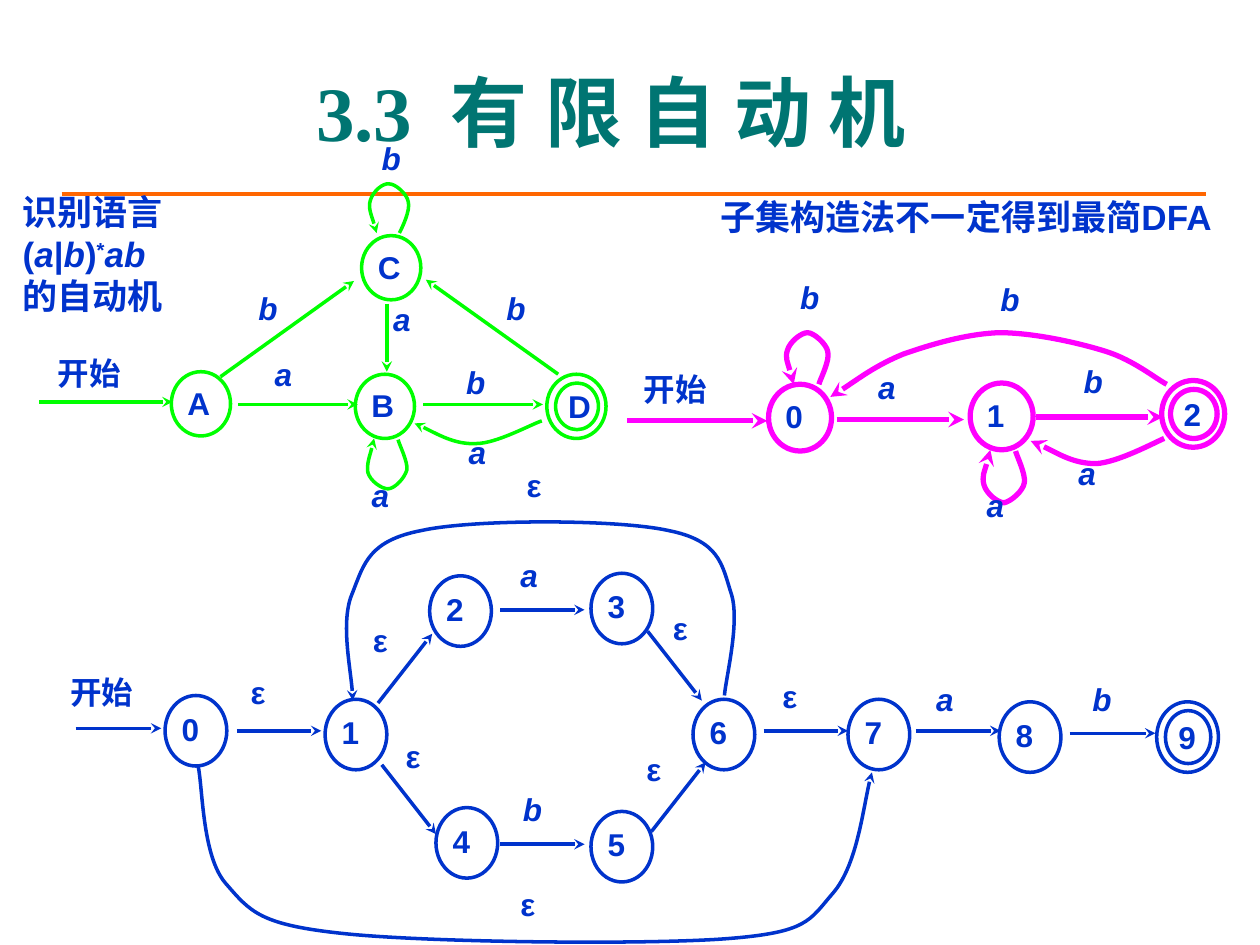
from dataclasses import dataclass, field
from itertools import chain
from typing import NamedTuple

from lxml import etree
from pptx import Presentation, util as u
from pptx.dml.color import RGBColor
from pptx.enum import shapes as es, text as et
from pptx.oxml.ns import qn

INK, TEAL, ORANGE, GREEN, PINK = "0033CC", "007572", "FF6600", "00FF00", "FF00FF"
CJK = "Noto Sans CJK SC"
LABEL_INSETS = (0.06, 0.03, 0.06, 0.03)
STATE_INSETS = (0.06, 0.03, 0.02, 0.05)
FINAL_INSETS = (0.05, 0, 0.01, 0)
TOP, MIDDLE = et.MSO_ANCHOR.TOP, et.MSO_ANCHOR.MIDDLE


class Mark(NamedTuple):
    """A state name or an edge label with its top left corner."""
    wording: str
    x: float
    y: float


@dataclass
class Automaton:
    colour: str
    weight: float
    state_size: tuple[float, float]
    anchor: et.MSO_ANCHOR
    states: list[Mark]
    final: Mark
    arrows: list[tuple[float, float, float, float]]
    curves: list[list[tuple[float, float]]]  # start, then Bezier triples
    labels: list[Mark] = field(default_factory=list)


def length(inches: float) -> u.Length:
    return u.Cm(inches * 2.54)


def rgb(colour: str) -> RGBColor:
    return RGBColor.from_string(colour)


def assign(target, values: dict) -> None:
    for name, value in values.items():
        setattr(target, name, value)


def set_frame(frame, insets, anchor) -> None:
    margins = zip(("margin_left", "margin_top", "margin_right", "margin_bottom"),
                  map(length, insets))
    assign(frame, dict(margins) | {"vertical_anchor": anchor, "word_wrap": True})


def add_run(paragraph, wording: str, size: float, colour: str = INK,
            font: str = "Arial", italic: bool = False):
    run = paragraph.add_run()
    run.text = wording
    assign(run.font, {"name": font, "size": u.Pt(size), "bold": True, "italic": italic})
    run.font.color.rgb = rgb(colour)
    etree.SubElement(run.font._element, qn("a:ea")).set("typeface", CJK)
    return run


def add_text(slide, x, y, w, h, anchor=TOP):
    frame = slide.shapes.add_textbox(*map(length, (x, y, w, h))).text_frame
    set_frame(frame, LABEL_INSETS, anchor)
    return frame


def set_line(shape, colour: str, weight: float, arrow: bool = False) -> None:
    shape.line.color.rgb = rgb(colour)
    shape.line.width = u.Pt(weight)
    if arrow:
        etree.SubElement(shape.line._get_or_add_ln(), qn("a:tailEnd")).set("type", "stealth")


def add_line(slide, ends, colour, weight, arrow=True) -> None:
    line = slide.shapes.add_connector(es.MSO_CONNECTOR.STRAIGHT, *map(length, ends))
    set_line(line, colour, weight, arrow)
    etree.SubElement(line._element.spPr, qn("a:effectLst"))


def add_curve(slide, points, colour, weight) -> None:
    start, *rest = [(length(x), length(y)) for x, y in points]
    builder = slide.shapes.build_freeform(*start)
    builder.add_line_segments(rest, close=False)
    curve = builder.convert_to_shape()
    # Turn each three segments into one Bezier segment
    outline = curve._element.xpath(".//a:path")[0]
    segments = outline.findall(qn("a:lnTo"))
    for first in range(0, len(segments), 3):
        bezier = etree.SubElement(outline, qn("a:cubicBezTo"))
        for segment in segments[first:first + 3]:
            bezier.append(segment[0])
            outline.remove(segment)
    curve.fill.background()
    curve.shadow.inherit = False
    set_line(curve, colour, weight, arrow=True)


def add_ring(slide, x, y, w, h, colour, weight):
    ring = slide.shapes.add_shape(es.MSO_SHAPE.OVAL, *map(length, (x, y, w, h)))
    ring.fill.background()
    ring.shadow.inherit = False
    set_line(ring, colour, weight)
    return ring


def name_state(ring, name: str, insets, anchor) -> None:
    set_frame(ring.text_frame, insets, anchor)
    paragraph = ring.text_frame.paragraphs[0]
    paragraph.alignment = et.PP_ALIGN.LEFT
    add_run(paragraph, name, 18)


def draw(slide, machine: Automaton) -> None:
    pen = machine.colour, machine.weight
    w, h = machine.state_size
    for name, x, y in machine.states:
        name_state(add_ring(slide, x, y, w, h, *pen), name, STATE_INSETS, machine.anchor)
    # Accepting state: two rings
    name, x, y = machine.final
    add_ring(slide, x, y, w, h, *pen)
    inner = add_ring(slide, x + 0.07, y + 0.07, w - 0.13, h - 0.14, *pen)
    name_state(inner, name, FINAL_INSETS, MIDDLE)
    for ends in machine.arrows:
        add_line(slide, ends, *pen)
    for points in machine.curves:
        add_curve(slide, points, *pen)
    for wording, x, y in machine.labels:
        frame = add_text(slide, x, y, 0.4 * len(wording), 0.45)
        add_run(frame.paragraphs[0], wording, 18, italic=wording in "ab")


def marks(wording: str, *corners) -> list[Mark]:
    return [Mark(wording, *corner) for corner in corners]


nfa = Automaton(
    INK, 2, (0.49, 0.56), TOP,
    [Mark("0", 1.31, 5.52), Mark("1", 2.58, 5.55), Mark("2", 3.41, 4.57),
     Mark("3", 4.69, 4.55), Mark("4", 3.46, 6.41), Mark("5", 4.69, 6.44),
     Mark("6", 5.5, 5.55), Mark("7", 6.73, 5.55), Mark("8", 7.93, 5.57)],
    Mark("9", 9.18, 5.57),
    [(0.6, 5.78, 1.28, 5.78), (1.88, 5.8, 2.55, 5.8), (6.06, 5.8, 6.73, 5.8),
     (7.27, 5.8, 7.94, 5.8), (8.49, 5.82, 9.17, 5.82), (3.97, 4.84, 4.64, 4.84),
     (3.97, 6.7, 4.64, 6.7), (3, 5.58, 3.43, 5.03), (5.14, 5.01, 5.57, 5.56),
     (5.17, 6.6, 5.6, 6.05), (3.03, 6.07, 3.46, 6.62)],
    [[(1.57, 6.07), (1.61, 6.23), (1.6, 6.79), (1.79, 7.01), (1.99, 7.24), (2.06, 7.34),
      (2.73, 7.41), (3.39, 7.48), (5.12, 7.5), (5.77, 7.45), (6.41, 7.4), (6.42, 7.31),
      (6.61, 7.09), (6.8, 6.87), (6.86, 6.33), (6.92, 6.13)],
     [(5.75, 5.52), (5.76, 5.38), (5.88, 4.92), (5.8, 4.7), (5.73, 4.48), (5.71, 4.29),
      (5.3, 4.21), (4.89, 4.12), (3.76, 4.12), (3.35, 4.21), (2.93, 4.29), (2.89, 4.47),
      (2.8, 4.7), (2.7, 4.92), (2.8, 5.38), (2.8, 5.56)]],
    [Mark("开始", 0.5, 5.31), *marks("a", (4.07, 4.38), (7.37, 5.37)),
     *marks("b", (4.09, 6.24), (8.61, 5.37)),
     *marks("ε", (1.93, 5.31), (2.9, 4.9), (3.16, 5.82), (5.28, 4.8), (5.07, 5.92),
            (4.07, 6.99), (4.12, 3.67), (6.15, 5.34))])

dfa = Automaton(
    GREEN, 2, (0.47, 0.51), MIDDLE,
    [Mark("A", 1.36, 2.95), Mark("B", 2.82, 2.97), Mark("C", 2.87, 1.87)],
    Mark("D", 4.34, 2.97),
    [(0.31, 3.19, 1.37, 3.19), (1.89, 3.21, 2.84, 3.21), (3.36, 3.21, 4.31, 3.21),
     (1.75, 2.99, 2.81, 2.23), (3.07, 2.41, 3.07, 2.95), (4.43, 2.97, 3.38, 2.22)],
    [[(3.17, 1.85), (3.19, 1.81), (3.26, 1.67), (3.24, 1.6), (3.23, 1.54), (3.14, 1.46),
      (3.09, 1.46), (3.04, 1.45), (2.96, 1.52), (2.94, 1.59), (2.92, 1.65), (2.98, 1.8),
      (2.99, 1.85)],
     [(3.16, 3.49), (3.17, 3.53), (3.24, 3.67), (3.23, 3.73), (3.21, 3.8), (3.13, 3.88),
      (3.08, 3.88), (3.03, 3.88), (2.94, 3.82), (2.92, 3.75), (2.91, 3.68), (2.96, 3.54),
      (2.97, 3.48)],
     [(4.3, 3.34), (4.21, 3.37), (3.94, 3.52), (3.78, 3.52), (3.61, 3.53), (3.39, 3.4),
      (3.29, 3.36)]],
    [Mark("开始", 0.4, 2.78), *marks("a", (2.12, 2.79), (2.89, 3.75), (3.66, 3.41), (3.06, 2.35)),
     *marks("b", (3.64, 2.85), (1.99, 2.26), (2.97, 1.07), (3.96, 2.26))])

minimal_dfa = Automaton(
    PINK, 3, (0.5, 0.53), MIDDLE,
    [Mark("0", 6.1, 3.05), Mark("1", 7.7, 3.04)], Mark("2", 9.22, 3.02),
    [(4.98, 3.34, 6.09, 3.34), (6.64, 3.33, 7.65, 3.33), (8.22, 3.31, 9.23, 3.31)],
    [[(6.5, 3.05), (6.51, 3.01), (6.59, 2.86), (6.57, 2.79), (6.56, 2.73), (6.46, 2.64),
      (6.41, 2.64), (6.36, 2.64), (6.27, 2.71), (6.25, 2.78), (6.23, 2.84), (6.29, 3),
      (6.3, 3.05)],
     [(8.06, 3.58), (8.07, 3.62), (8.14, 3.76), (8.13, 3.83), (8.12, 3.9), (8.02, 3.98),
      (7.97, 3.99), (7.92, 3.99), (7.83, 3.92), (7.81, 3.85), (7.79, 3.78), (7.85, 3.63),
      (7.86, 3.57)],
     [(9.24, 3.48), (9.15, 3.52), (8.87, 3.67), (8.7, 3.68), (8.52, 3.68), (8.29, 3.54),
      (8.18, 3.5)],
     [(9.26, 3.05), (9.18, 3.01), (9, 2.86), (8.78, 2.79), (8.56, 2.72), (8.2, 2.64),
      (7.93, 2.64), (7.67, 2.65), (7.4, 2.73), (7.17, 2.81), (6.95, 2.9), (6.71, 3.08),
      (6.59, 3.15)]],
    [Mark("开始", 5.05, 2.91), *marks("a", (6.91, 2.89), (7.77, 3.83), (8.5, 3.57)),
     *marks("b", (8.54, 2.84), (6.29, 2.18), (7.88, 2.19))])

deck = Presentation()
assign(deck, {"slide_width": u.Cm(25.4), "slide_height": u.Cm(19.05)})
slide = deck.slides.add_slide(deck.slide_layouts[5])

# Heading and rule
heading = slide.shapes.title
assign(heading, dict(zip(("left", "top", "width", "height"),
                         map(length, (0.67, 0.25, 8.5, 1.25)))))
set_frame(heading.text_frame, (0.1, 0.05, 0.1, 0.05), MIDDLE)
heading.text_frame.paragraphs[0].alignment = et.PP_ALIGN.CENTER
add_run(heading.text_frame.paragraphs[0], "3.3  有 限 自 动 机 ", 44, TEAL, "Times New Roman")
add_line(slide, (0.49, 1.54, 9.57, 1.54), ORANGE, 2.25, arrow=False)

# Automata
for machine in (nfa, dfa, minimal_dfa):
    draw(slide, machine)

# Remarks
remark = add_text(slide, 5.66, 1.31, 4.3, 0.82, MIDDLE)
add_run(remark.paragraphs[0], "子集构造法不一定得到最简DFA", 20)
language = add_text(slide, 0.12, 1.3, 1.65, 1.43, MIDDLE)
add_run(language.paragraphs[0], "识别语言", 20, font=CJK)
expression = language.add_paragraph()
for part in chain("(a|b)*", ["ab"]):
    run = add_run(expression, part, 20, italic=part in "ab")
    if part == "*":
        run.font._element.set("baseline", "30000")
add_run(language.add_paragraph(), "的自动机", 20, font=CJK)

deck.save("out.pptx")
